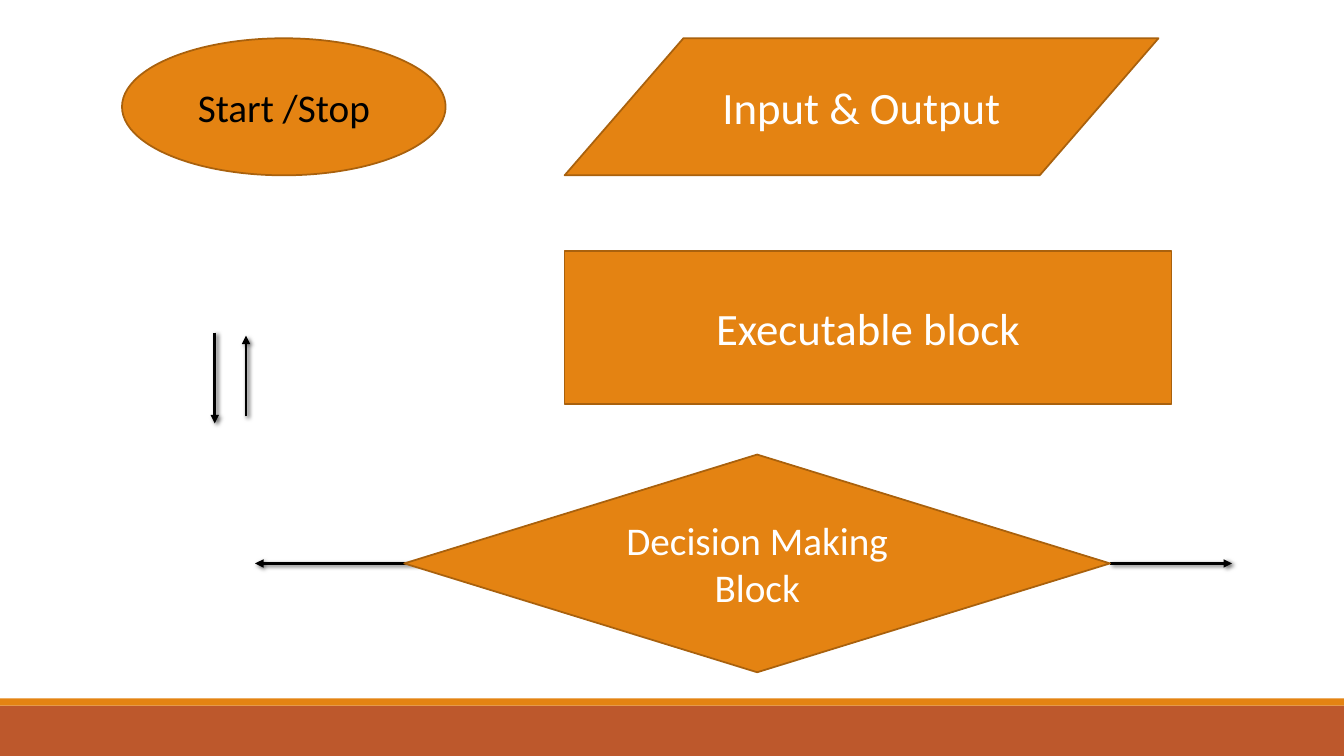
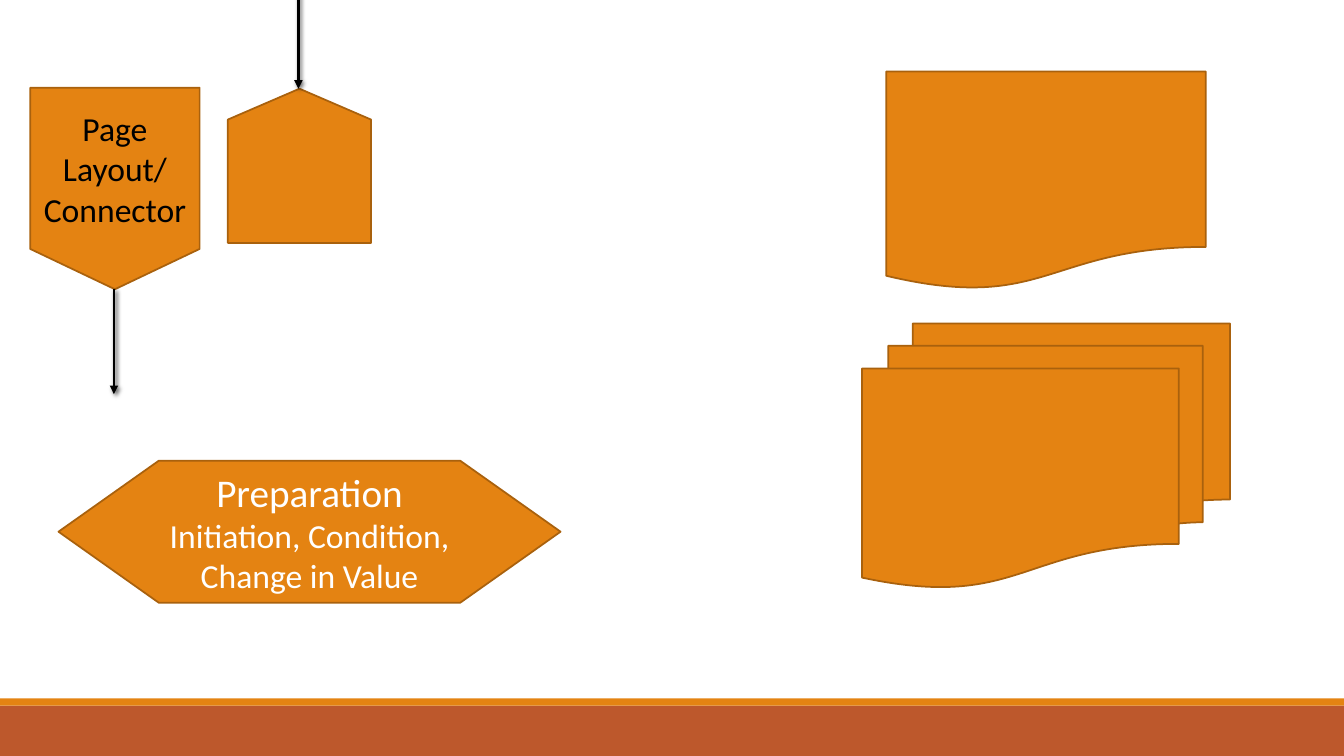
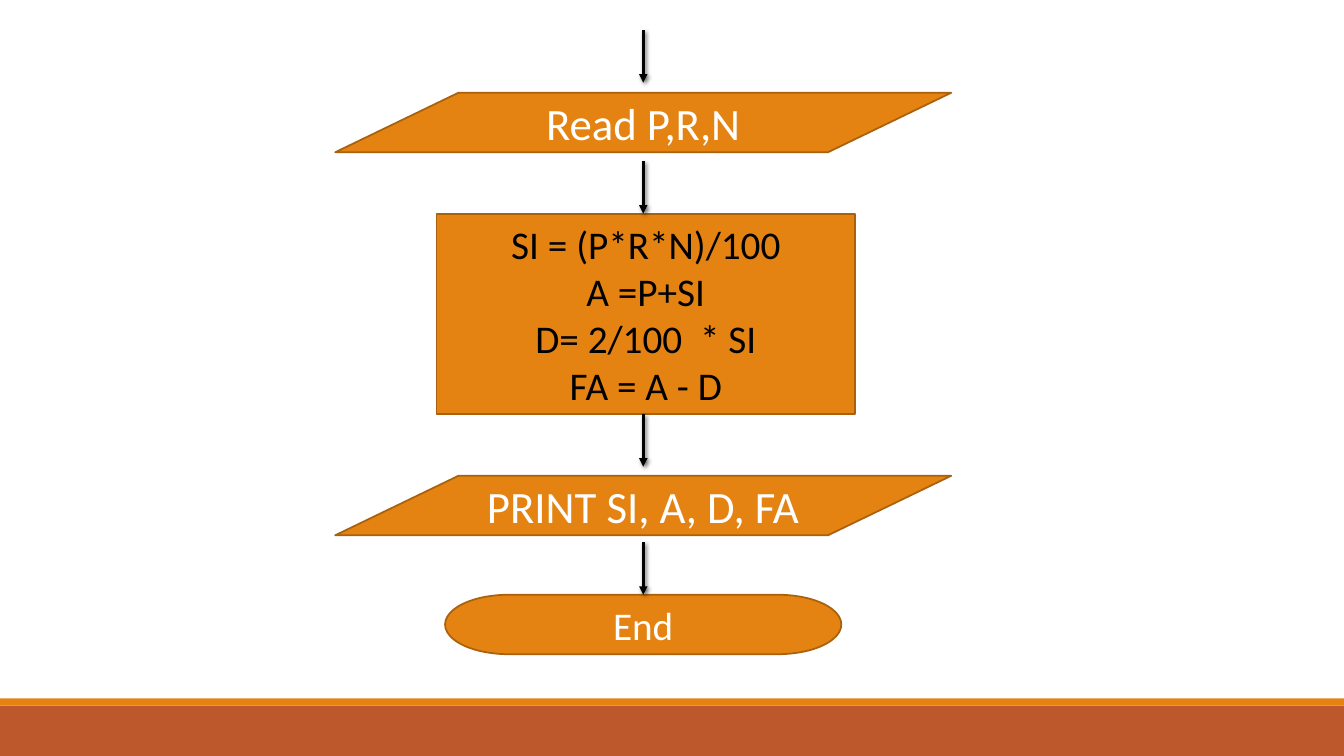
from lxml import etree
from pptx import Presentation
from pptx.dml.color import RGBColor
from pptx.enum.shapes import MSO_CONNECTOR, MSO_SHAPE
from pptx.enum.text import MSO_ANCHOR, PP_ALIGN
from pptx.oxml.ns import qn
from pptx.util import Inches, Pt

RECTANGLE = MSO_SHAPE.RECTANGLE
OVAL = MSO_SHAPE.OVAL
INPUT_OUTPUT = MSO_SHAPE.FLOWCHART_DATA
PROCESS = MSO_SHAPE.FLOWCHART_PROCESS
DECISION = MSO_SHAPE.FLOWCHART_DECISION
OFFPAGE = MSO_SHAPE.FLOWCHART_OFFPAGE_CONNECTOR
DOCUMENT = MSO_SHAPE.FLOWCHART_DOCUMENT
MULTIDOCUMENT = MSO_SHAPE.FLOWCHART_MULTIDOCUMENT
PREPARATION = MSO_SHAPE.FLOWCHART_PREPARATION
TERMINATOR = MSO_SHAPE.FLOWCHART_TERMINATOR
STRAIGHT = MSO_CONNECTOR.STRAIGHT
CENTER = PP_ALIGN.CENTER
MIDDLE = MSO_ANCHOR.MIDDLE

ORANGE = "E48312"
OUTLINE = "A9610D"
RUST = "BD582C"
WHITE = "FFFFFF"
BLACK = "000000"
FONT = "Calibri"
SLIDE_W, SLIDE_H = 13.33, 7.5


def color(value):
    return RGBColor.from_string(value)


def apply(target, **values):
    for name, value in values.items():
        setattr(target, name, value)


class FlowDeck:
    bands = ((7, 0.5, RUST), (6.93, 0.07, ORANGE))

    def __init__(self):
        self.deck = Presentation()
        apply(self.deck, slide_width=Inches(SLIDE_W), slide_height=Inches(SLIDE_H))
        self.slide = None

    def new_slide(self):
        self.slide = self.deck.slides.add_slide(self.deck.slide_layouts[6])
        for top, height, fill in self.bands:
            self.shape(RECTANGLE, 0, top, SLIDE_W, height, fill).line.fill.background()

    def shape(self, preset, left, top, width, height, fill):
        shape = self.slide.shapes.add_shape(
            preset, Inches(left), Inches(top), Inches(width), Inches(height))
        shape.shadow.inherit = False
        shape.fill.solid()
        shape.fill.fore_color.rgb = color(fill)
        return shape

    def block(self, preset, box, lines=(), size=28, ink=WHITE, rotation=0):
        block = self.shape(preset, *box, ORANGE)
        block.line.color.rgb = color(OUTLINE)
        apply(block, rotation=rotation)
        apply(block.line, width=Pt(1.25))
        frame = block.text_frame
        apply(frame, word_wrap=True, vertical_anchor=MIDDLE)
        for index, line in enumerate(lines):
            paragraph = frame.add_paragraph() if index else frame.paragraphs[0]
            paragraph.alignment = CENTER
            self.run(paragraph, line, size, ink)
        return block

    def run(self, paragraph, text, size, ink):
        run = paragraph.add_run()
        run.text = text
        apply(run.font, name=FONT, size=Pt(size))
        run.font.color.rgb = color(ink)

    def arrow(self, x1, y1, x2, y2):
        arrow = self.slide.shapes.add_connector(
            STRAIGHT, Inches(x1), Inches(y1), Inches(x2), Inches(y2))
        arrow.line.color.rgb = color(BLACK)
        arrow.line.width = Pt(2)
        etree.SubElement(arrow.line._get_or_add_ln(), qn("a:tailEnd"), type="triangle")
        effects = etree.SubElement(arrow._element.spPr, qn("a:effectLst"))
        shadow = etree.SubElement(
            effects, qn("a:outerShdw"), blurRad=str(Pt(3)), dist=str(Pt(2)),
            dir=str(45 * 60000), algn="ctr", rotWithShape="0")
        shade = etree.SubElement(shadow, qn("a:srgbClr"), val=BLACK)
        etree.SubElement(shade, qn("a:alpha"), val="60000")


def basic_symbols(deck):
    deck.new_slide()
    deck.block(OVAL, (1.21, 0.38, 3.21, 1.36), ["Start /Stop"], ink=BLACK)
    for ends in ((11.01, 5.59, 12.22, 5.59), (4.14, 5.59, 2.53, 5.59),
                 (2.13, 3.3, 2.13, 4.2), (2.44, 4.13, 2.44, 3.33)):
        deck.arrow(*ends)
    deck.block(INPUT_OUTPUT, (5.6, 0.38, 5.89, 1.36), ["Input & Output"], 32)
    deck.block(PROCESS, (5.6, 2.49, 6.02, 1.52), ["Executable block"], 32)
    deck.block(DECISION, (4.01, 4.51, 7, 2.16), ["Decision Making Block"])


def page_symbols(deck):
    deck.new_slide()
    deck.block(OFFPAGE, (2.26, 0.88, 1.42, 1.53), rotation=180)
    deck.block(OFFPAGE, (0.3, 0.87, 1.68, 2), ["Page Layout/ Connector"], 24, BLACK)
    deck.arrow(2.96, -0.15, 2.96, 0.88)
    deck.arrow(1.13, 2.87, 1.13, 3.91)
    deck.block(DOCUMENT, (8.79, 0.71, 3.17, 2.17))
    deck.block(MULTIDOCUMENT, (8.55, 3.21, 3.65, 2.62))
    preparation = deck.block(PREPARATION, (0.58, 4.57, 4.98, 1.41), ["Preparation"])
    caption = preparation.text_frame.paragraphs[0]
    caption.add_line_break()
    deck.run(caption, "Initiation, Condition, Change in Value", 24, WHITE)


def interest_flow(deck):
    deck.new_slide()
    axis, arrow_length, step_height = 6.38, 0.52, 0.59
    formulas = ["SI = (P*R*N)/100", "A =P+SI", "D= 2/100  * SI", "FA = A - D"]
    deck.block(RECTANGLE, (4.33, 2.12, 4.15, 1.99), formulas, ink=BLACK)
    for preset, top, width, label, size in (
            (INPUT_OUTPUT, 0.92, 6.11, "Read P,R,N", 32),
            (INPUT_OUTPUT, 4.72, 6.11, "PRINT SI, A, D, FA", 32),
            (TERMINATOR, 5.9, 3.93, "End", 28)):
        deck.block(preset, (axis - width / 2, top, width, step_height), [label], size)
    for top in (0.3, 1.6, 4.11, 5.38):
        deck.arrow(axis, top, axis, top + arrow_length)


def main():
    deck = FlowDeck()
    for build in (basic_symbols, page_symbols, interest_flow):
        build(deck)
    deck.deck.save("out.pptx")


if __name__ == "__main__":
    main()
